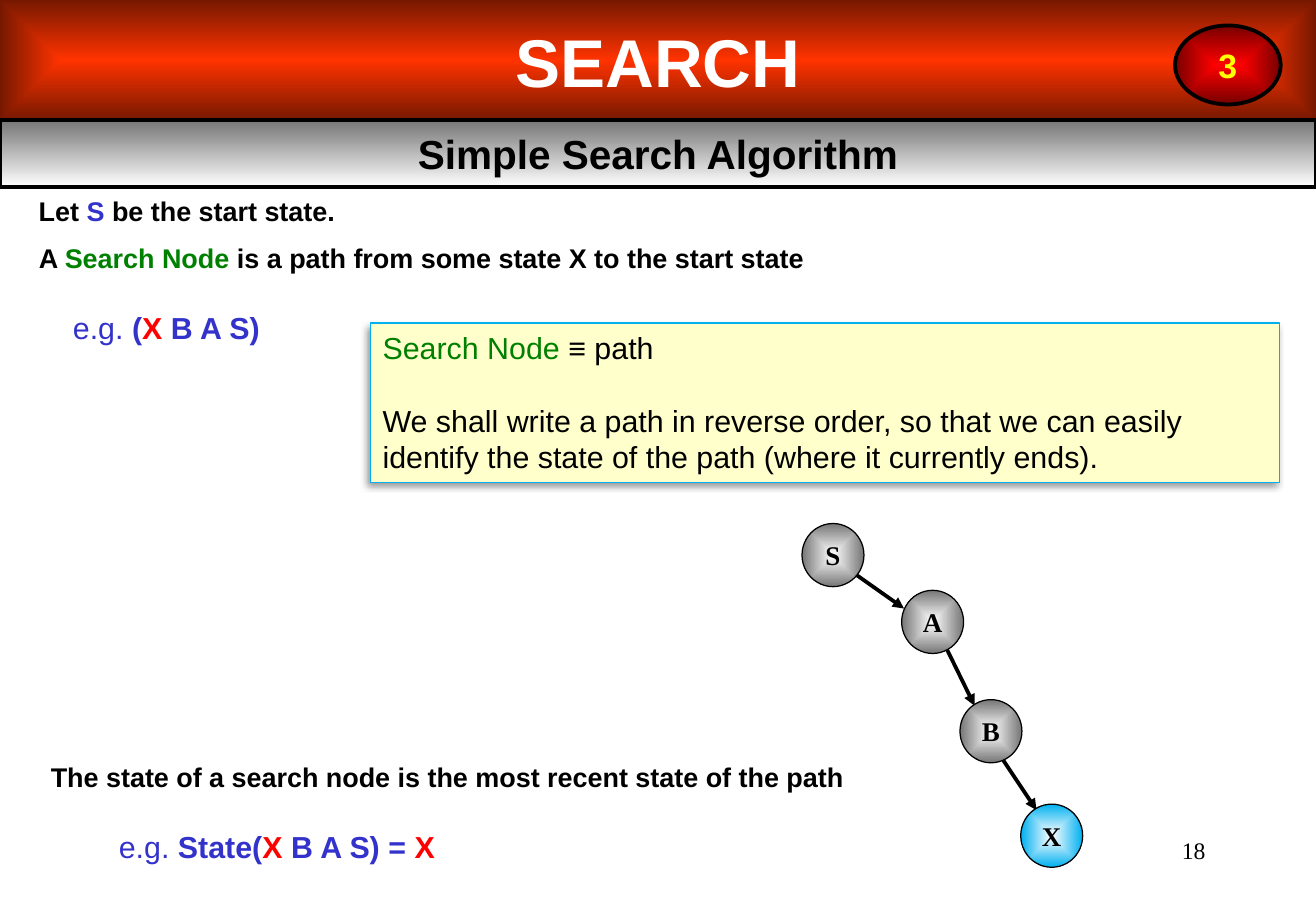
from typing import NamedTuple

from lxml import etree
from pptx import Presentation
from pptx.dml.color import RGBColor
from pptx.enum.shapes import MSO_CONNECTOR, MSO_SHAPE
from pptx.enum.text import MSO_ANCHOR, MSO_AUTO_SIZE, PP_ALIGN
from pptx.oxml.ns import qn
from pptx.util import Emu, Inches, Pt

RECT, OVAL = MSO_SHAPE.RECTANGLE, MSO_SHAPE.OVAL
LEFT, MID, RIGHT = PP_ALIGN.LEFT, PP_ALIGN.CENTER, PP_ALIGN.RIGHT
CELL = Inches(0.1)  # grid pitch; all places count columns and rows
COLS, ROWS = 108.3, 75
HEX = {
    "black": "000000", "white": "FFFFFF", "blue": "3333CC", "green": "008000",
    "red": "FF0000", "dark red": "760000", "orange": "FF3300", "rust": "761800",
    "gray": "767676", "sky": "00B0F0", "cream": "FFFFCC", "yellow": "FFFF00",
}


class Box(NamedTuple):
    col: float
    row: float
    cols: float
    rows: float


class Bit(NamedTuple):
    text: str
    color: str = "black"
    bold: bool = True


class Para(NamedTuple):
    bits: list[Bit]
    size: float = 16
    gap: float = 0
    indent: float = 0
    align: PP_ALIGN = LEFT
    font: str = "Arial"


class Node(NamedTuple):
    name: str
    col: float
    row: float
    color: str = "gray"


class Arrow(NamedTuple):
    x1: float
    y1: float
    x2: float
    y2: float


NODES = [Node("S", 66, 43.1), Node("A", 74.2, 48.6), Node("B", 79, 57.6),
         Node("X", 84, 66.2, "sky")]
ARROWS = [Arrow(69.3, 46.5, 74.4, 50.1), Arrow(77.8, 53.2, 80.2, 58.1),
          Arrow(82.3, 62.2, 85.3, 66.7)]


def rgb(name: str) -> RGBColor:
    return RGBColor.from_string(HEX[name])


def grid(vals) -> list[Emu]:
    return [Emu(round(v * CELL)) for v in vals]


def place(shape, box: Box) -> None:
    shape.left, shape.top, shape.width, shape.height = grid(box)


def write(shape, paras: list[Para], anchor=MSO_ANCHOR.TOP, wrap: bool = True) -> None:
    frame = shape.text_frame
    frame.auto_size = MSO_AUTO_SIZE.NONE
    frame.word_wrap = wrap
    frame.vertical_anchor = anchor
    for i, item in enumerate(paras):
        para = frame.add_paragraph() if i else frame.paragraphs[0]
        para.alignment = item.align
        para.space_before = Pt(item.gap)
        props = para._p.get_or_add_pPr()
        props.set("marL", str(Inches(item.indent)))
        props.set("indent", "0")
        etree.SubElement(props, qn("a:buNone"))
        for bit in item.bits:
            run = para.add_run()
            run.text = bit.text
            run.font.name = item.font
            run.font.size = Pt(item.size)
            run.font.bold = bit.bold
            run.font.color.rgb = rgb(bit.color)


def label(shape, text: str, size: float, color: str, font: str = "Arial") -> None:
    """Write one bold line in the middle of a shape."""
    para = Para([Bit(text, color)], size, align=MID, font=font)
    write(shape, [para], MSO_ANCHOR.MIDDLE, False)


def blend(shape, first: str, last: str, radial: bool = True) -> None:
    """Fill from the centre outwards, or from top to bottom."""
    shape.fill.gradient()
    for stop, name in zip(shape.fill.gradient_stops, (first, last)):
        stop.color.rgb = rgb(name)
    if not radial:
        shape.fill.gradient_angle = 270
        return
    grad = shape._element.spPr.find(qn("a:gradFill"))
    grad.remove(grad.find(qn("a:lin")))
    way = etree.SubElement(grad, qn("a:path"), path="shape")
    half = dict.fromkeys("ltrb", "50000")
    etree.SubElement(way, qn("a:fillToRect"), half)


def draw(slide, kind, box: Box, line: str = "black", width: float = 2.25):
    shape = slide.shapes.add_shape(kind, *grid(box))
    shape.shadow.inherit = False
    shape.line.color.rgb = rgb(line)
    shape.line.width = Pt(width)
    return shape


def note(slide, box: Box, paras: list[Para]) -> None:
    write(slide.shapes.add_textbox(*grid(box)), paras)


def cast(shape) -> None:
    """Give the shape a soft shadow to the lower left."""
    fx = shape._element.spPr.find(qn("a:effectLst"))
    shade = etree.SubElement(fx, qn("a:outerShdw"), blurRad=str(Pt(4)),
                             dist=str(Pt(3)), dir="8100000", rotWithShape="0")
    tone = etree.SubElement(shade, qn("a:srgbClr"), val=HEX["black"])
    etree.SubElement(tone, qn("a:alpha"), val="40000")


def link(slide, arrow: Arrow) -> None:
    line = slide.shapes.add_connector(MSO_CONNECTOR.STRAIGHT, *grid(arrow))
    line.line.color.rgb = rgb("black")
    line.line.width = Pt(2.25)
    etree.SubElement(line.line._get_or_add_ln(), qn("a:tailEnd"), type="triangle")
    etree.SubElement(line._element.spPr, qn("a:effectLst"))


def main() -> None:
    deck = Presentation()
    deck.slide_width, deck.slide_height = grid((COLS, ROWS))
    slide = deck.slides.add_slide(deck.slide_layouts[1])
    title, body = slide.placeholders

    place(title, Box(0, 0, COLS, 9.9))
    blend(title, "orange", "rust")
    label(title, "SEARCH", 40, "white")

    band = draw(slide, RECT, Box(0, 9.9, COLS, 5.5))
    blend(band, "gray", "white", False)
    label(band, "Simple Search Algorithm", 24, "black")

    badge = draw(slide, OVAL, Box(96.7, 2.1, 8.7, 6.5))
    blend(badge, "red", "dark red")
    label(badge, "3", 20, "yellow")

    note(slide, Box(2.2, 15.5, 33.9, 3.7), [
        Para([Bit("Let "), Bit("S", "blue"), Bit(" be the start state.")])])
    eg = Bit("e.g. ", "blue", False)
    place(body, Box(2.2, 19.4, 103.2, 9.8))
    write(body, [
        Para([Bit("A "), Bit("Search Node ", "green"),
              Bit("is a path from some state X to the start state")]),
        Para([eg, Bit("(", "blue"), Bit("X", "red"), Bit(" B A S)", "blue")],
             18, 21, 0.28)])
    note(slide, Box(3.2, 62.1, 73.6, 9.8), [
        Para([Bit("The state of a search node is the most recent state of the path")]),
        Para([eg, Bit("State(", "blue"), Bit("X", "red"),
              Bit(" B A S) = ", "blue"), Bit("X", "red")], 18, 21, 0.56)])

    hint = draw(slide, RECT, Box(30.5, 26.6, 74.8, 13.1), "sky", 0.75)
    hint.fill.solid()
    hint.fill.fore_color.rgb = rgb("cream")
    cast(hint)
    write(hint, [
        Para([Bit("Search Node ", "green", False), Bit("≡ path", bold=False)], 18),
        Para([Bit("We shall write a path in reverse order, so that we can easily "
                  "identify the state of the path (where it currently ends).",
                  bold=False)], 18, 21.5)])

    for arrow in ARROWS:
        link(slide, arrow)
    for node in NODES:
        ball = draw(slide, OVAL, Box(node.col, node.row, 5.1, 5.2), width=0.75)
        blend(ball, "white", node.color)
        label(ball, node.name, 16, "black", "Times New Roman")

    note(slide, Box(77.6, 68.3, 22.6, 5), [
        Para([Bit("18", bold=False)], 14, align=RIGHT, font="Times New Roman")])
    deck.save("out.pptx")


if __name__ == "__main__":
    main()
